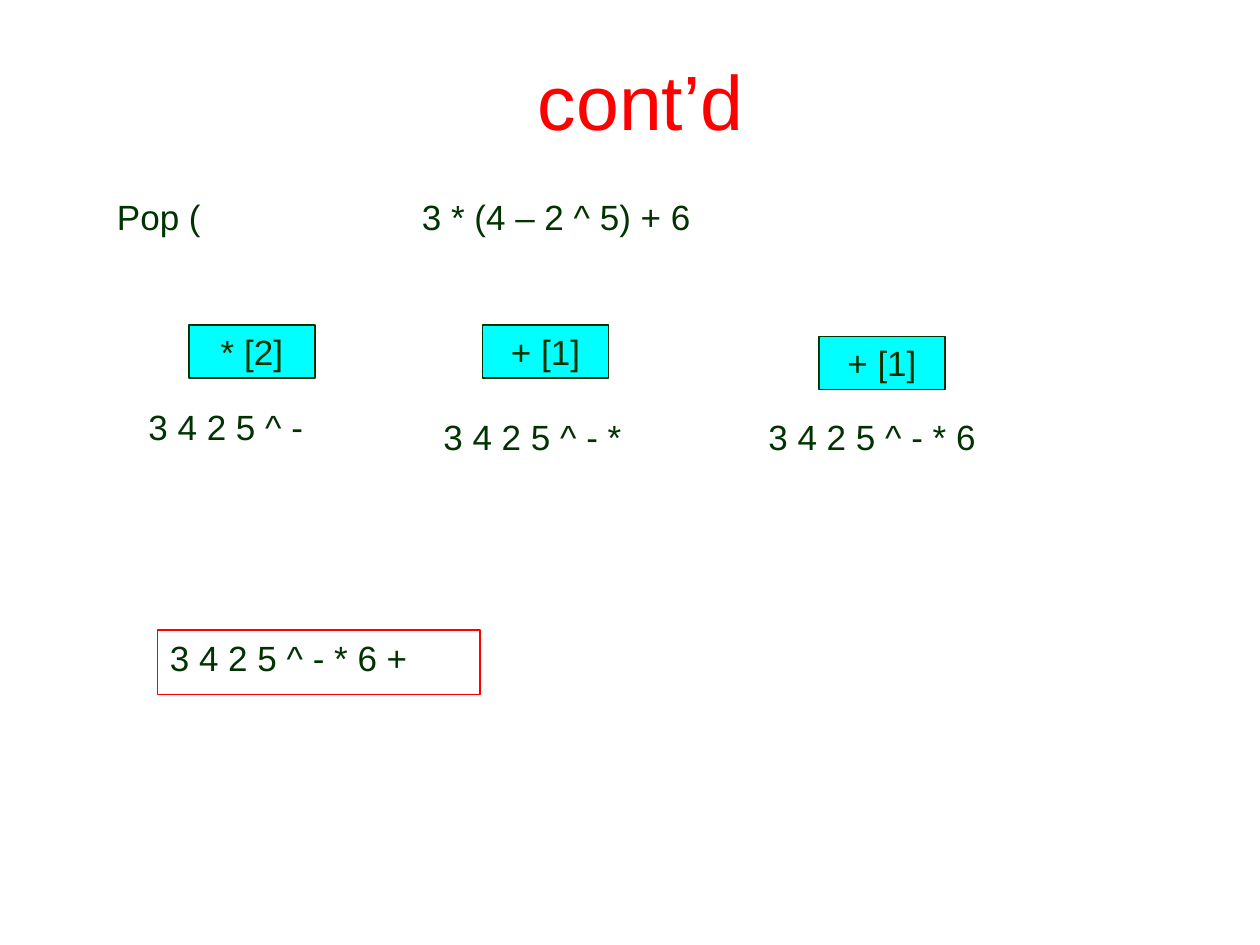
"""Build the slide that ends the infix to postfix example."""
import pptx
import pptx.util
import pptx.dml.color
import pptx.enum.shapes
import pptx.enum.text

Inches = pptx.util.Inches
Anchor = pptx.enum.text.MSO_ANCHOR
Align = pptx.enum.text.PP_ALIGN

THEME = {
    "font": "Arial", "head": 44, "body": 20,
    "red": "FF0000", "ink": "003300", "cell": "00FFFF",
}
TITLE = " cont’d"
NOTES = [
    ("Pop (", 0.83, 1.5, 1),
    ("3 * (4 – 2 ^ 5) + 6", 3.25, 1.5, 2.85),
    ("3 4 2 5 ^ -", 1.08, 3.17, 1.76),
    ("3 4 2 5 ^ - *", 3.42, 3.25, 1.99),
    ("3 4 2 5 ^ - * 6", 6, 3.25, 2.26),
]
STACKS = [("* [2]", 1.5, 2.58), ("+ [1]", 3.83, 2.58), ("+ [1]", 6.5, 2.67)]
STACK_W, STACK_H, NOTE_H = 1, 0.42, 0.5
RESULT = ("3 4 2 5 ^ - * 6 +", 1.25, 5, 2.56, 0.51)


def tint(name):
    return pptx.dml.color.RGBColor.from_string(THEME[name])


def write(shape, text, size="body", color="ink", align=Align.LEFT,
          anchor=Anchor.TOP, wrap=True):
    frame = shape.text_frame
    frame.word_wrap = wrap
    frame.vertical_anchor = anchor
    para = frame.paragraphs[0]
    para.alignment = align
    run = para.add_run()
    run.text = text
    run.font.name = THEME["font"]
    run.font.size = pptx.util.Pt(THEME[size])
    run.font.color.rgb = tint(color)


def box(slide, place, edge, fill=None):
    shape = slide.shapes.add_shape(
        pptx.enum.shapes.MSO_SHAPE.RECTANGLE, *map(Inches, place))
    shape.shadow.inherit = False
    if fill:
        shape.fill.solid()
        shape.fill.fore_color.rgb = tint(fill)
    else:
        shape.fill.background()
    shape.line.color.rgb = tint(edge)
    shape.line.width = pptx.util.Pt(0.75)
    return shape


deck = pptx.Presentation()
deck.slide_width, deck.slide_height = Inches(10), Inches(7.5)
slide = deck.slides.add_slide(deck.slide_layouts[5])

title = slide.shapes.title
title.left, title.top = Inches(0.75), Inches(0.17)
title.width, title.height = Inches(8.5), Inches(1.25)
write(title, TITLE, size="head", color="red", align=Align.CENTER,
      anchor=Anchor.MIDDLE)

for text, left, top, width in NOTES:
    note = slide.shapes.add_textbox(*map(Inches, (left, top, width, NOTE_H)))
    write(note, text)

for text, left, top in STACKS:
    cell = box(slide, (left, top, STACK_W, STACK_H), "ink", "cell")
    write(cell, text, align=Align.CENTER, anchor=Anchor.MIDDLE, wrap=False)

text, *place = RESULT
write(box(slide, place, "red"), text)

deck.save("out.pptx")
